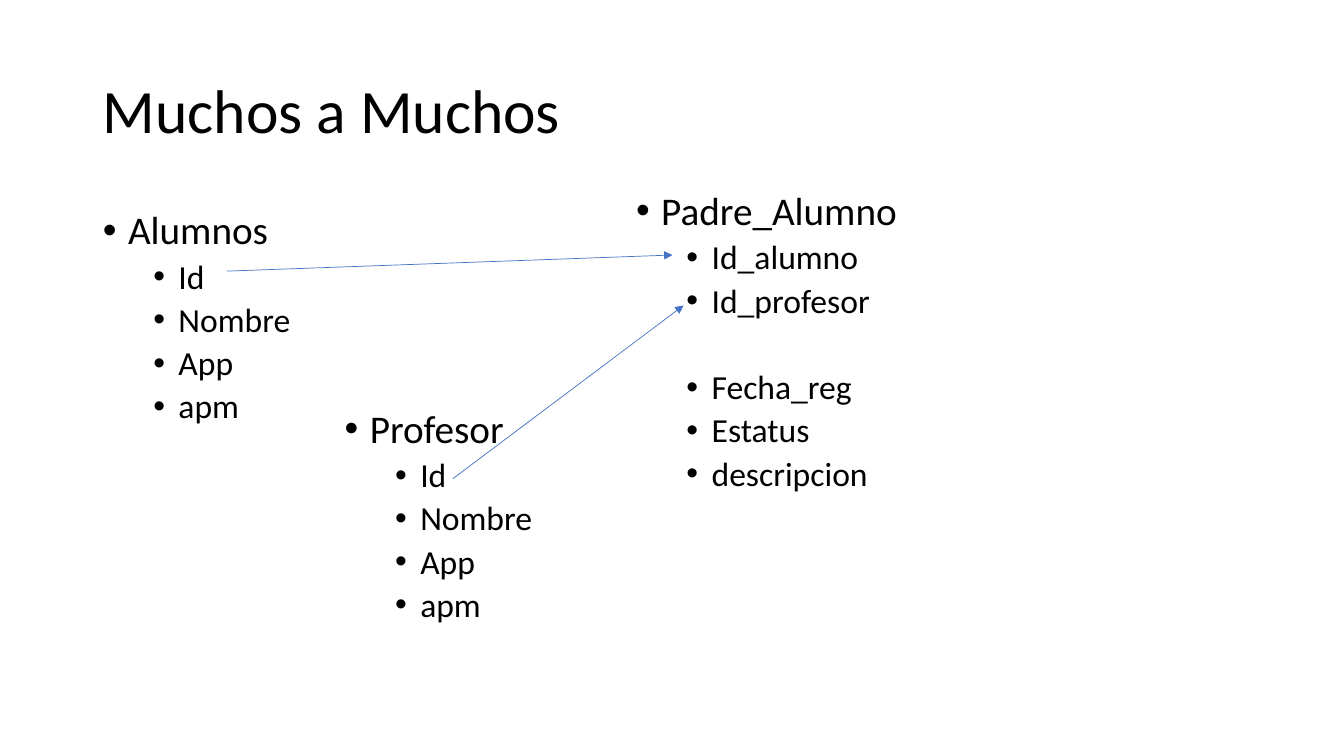
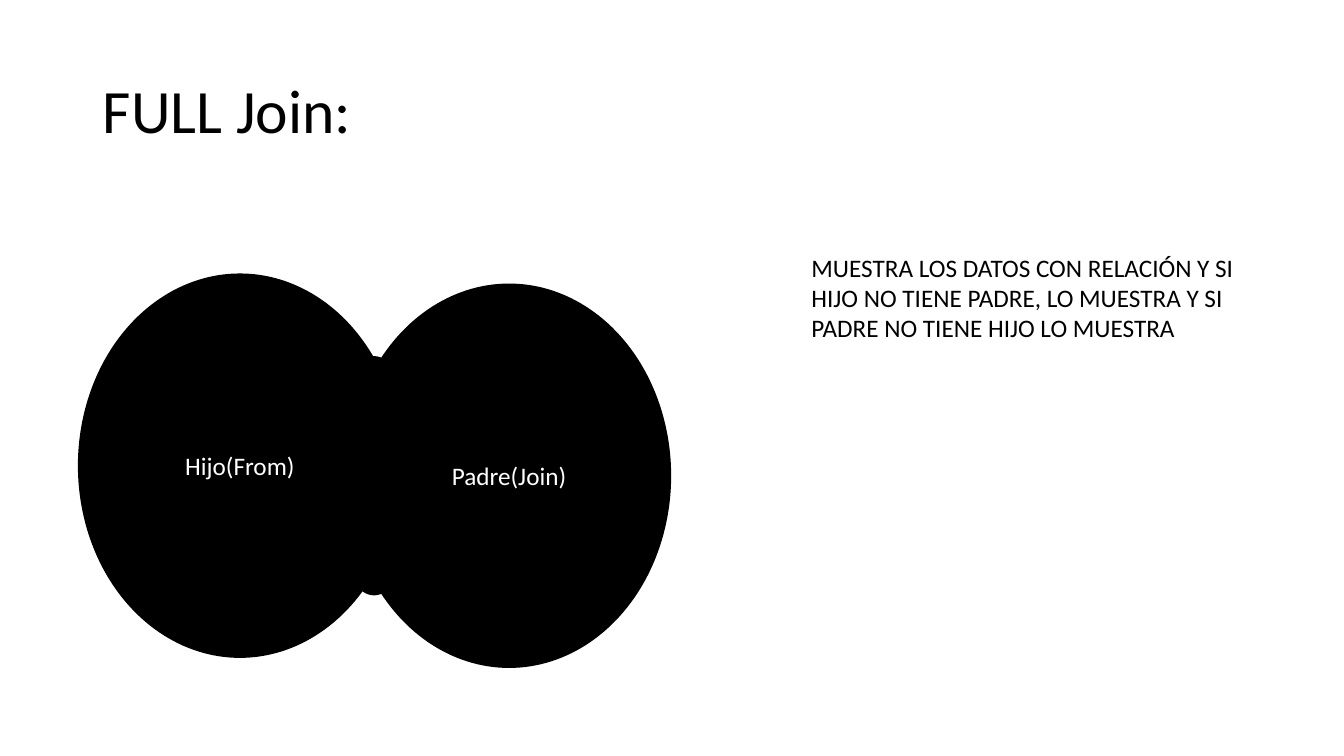
from lxml.etree import SubElement
from pptx import Presentation
from pptx.dml.color import RGBColor
from pptx.enum.shapes import MSO_CONNECTOR, MSO_SHAPE
from pptx.enum.text import MSO_ANCHOR, MSO_AUTO_SIZE, PP_ALIGN
from pptx.oxml.ns import qn
from pptx.util import Inches, Pt

FONT = "Calibri"
BLACK, WHITE, BLUE = "000000", "FFFFFF", "4472C4"
TITLE_BOX = (0.92, 0.4, 11.5, 1.45)
PERSON = ["Id", "Nombre", "App", "apm"]
OVAL = (3.2, 3.8)


def color(code):
    return RGBColor.from_string(code)


def place(shape, box):
    shape.left, shape.top, shape.width, shape.height = map(Inches, box)


def write(par, text, size, code=BLACK):
    run = par.add_run()
    run.text = text
    run.font.name = FONT
    run.font.size = Pt(size)
    run.font.color.rgb = color(code)


def add_slide(deck, layout, title):
    """Add a slide with the shared title style."""
    slide = deck.slides.add_slide(deck.slide_layouts.get_by_name(layout))
    head = slide.shapes.title
    place(head, TITLE_BOX)
    frame = head.text_frame
    frame.auto_size = MSO_AUTO_SIZE.NONE
    frame.vertical_anchor = MSO_ANCHOR.MIDDLE
    par = frame.paragraphs[0]
    par.alignment = PP_ALIGN.LEFT
    par.line_spacing = 0.9
    write(par, title, 44)
    return slide


def add_bullet(par, indent):
    props = par._p.get_or_add_pPr()
    props.set("marL", str(Inches(indent)))
    props.set("indent", str(Inches(-0.25)))
    SubElement(props, qn("a:buFont"), typeface="Arial")
    SubElement(props, qn("a:buChar"), char="•")


def fill_list(shape, name, fields, split=None):
    """List a table's name and its fields; a wide gap precedes field number split."""
    frame = shape.text_frame
    frame.word_wrap = True
    frame.auto_size = MSO_AUTO_SIZE.NONE
    frame.vertical_anchor = MSO_ANCHOR.TOP
    head = frame.paragraphs[0]
    add_bullet(head, 0.25)
    head.line_spacing = 0.9
    head.space_before = Pt(0)
    write(head, name, 28)
    for i, field in enumerate(fields):
        par = frame.add_paragraph()
        par.level = 1
        add_bullet(par, 0.75)
        par.line_spacing = 0.9
        par.space_before = Pt(36 if i == split else 5)
        write(par, field, 24)


def add_box(slide, box):
    return slide.shapes.add_textbox(*map(Inches, box))


def add_arrow(slide, start, end):
    line = slide.shapes.add_connector(
        MSO_CONNECTOR.STRAIGHT, *map(Inches, start + end))
    line.line.color.rgb = color(BLUE)
    line.line.width = Pt(0.5)
    SubElement(line.line._get_or_add_ln(), qn("a:tailEnd"), type="triangle")
    SubElement(line._element.spPr, qn("a:effectLst"))


def add_oval(slide, box, text=None):
    oval = slide.shapes.add_shape(MSO_SHAPE.OVAL, *map(Inches, box))
    oval.shadow.inherit = False
    oval.fill.solid()
    oval.fill.fore_color.rgb = color(BLACK)
    oval.line.color.rgb = color(BLACK)
    oval.line.width = Pt(1)
    if text:
        frame = oval.text_frame
        frame.vertical_anchor = MSO_ANCHOR.MIDDLE
        par = frame.paragraphs[0]
        par.alignment = PP_ALIGN.CENTER
        write(par, text, 18, WHITE)


def add_many(deck):
    slide = add_slide(deck, "Title and Content", "Muchos a Muchos")
    pupils = slide.placeholders[1]
    place(pupils, (0.92, 2.04, 2.41, 4.76))
    fill_list(pupils, "Alumnos", PERSON)
    fill_list(add_box(slide, (3.32, 4.01, 2.17, 3)), "Profesor", PERSON)
    fill_list(add_box(slide, (6.21, 1.85, 3.48, 4.76)), "Padre_Alumno",
              ["Id_alumno", "Id_profesor", "Fecha_reg", "Estatus",
               "descripcion"], split=2)
    add_arrow(slide, (4.49, 4.75), (6.78, 3.03))
    add_arrow(slide, (2.25, 2.69), (6.67, 2.53))


def add_join(deck):
    slide = add_slide(deck, "Title Only", "FULL Join:")
    add_oval(slide, (0.78, 2.72, *OVAL), "Hijo(From)")
    add_oval(slide, (3.45, 2.82, *OVAL), "Padre(Join)")
    add_oval(slide, (3.27, 3.54, 0.88, 2.36))
    frame = add_box(slide, (7.95, 2.45, 4.46, 1.01)).text_frame
    frame.word_wrap = True
    frame.auto_size = MSO_AUTO_SIZE.SHAPE_TO_FIT_TEXT
    write(frame.paragraphs[0],
          "MUESTRA LOS DATOS CON RELACIÓN Y SI HIJO NO TIENE PADRE, "
          "LO MUESTRA Y SI PADRE NO TIENE HIJO LO MUESTRA", 18)


def main():
    deck = Presentation()
    deck.slide_width, deck.slide_height = Inches(13.33), Inches(7.5)
    add_many(deck)
    add_join(deck)
    deck.save("out.pptx")


if __name__ == "__main__":
    main()
